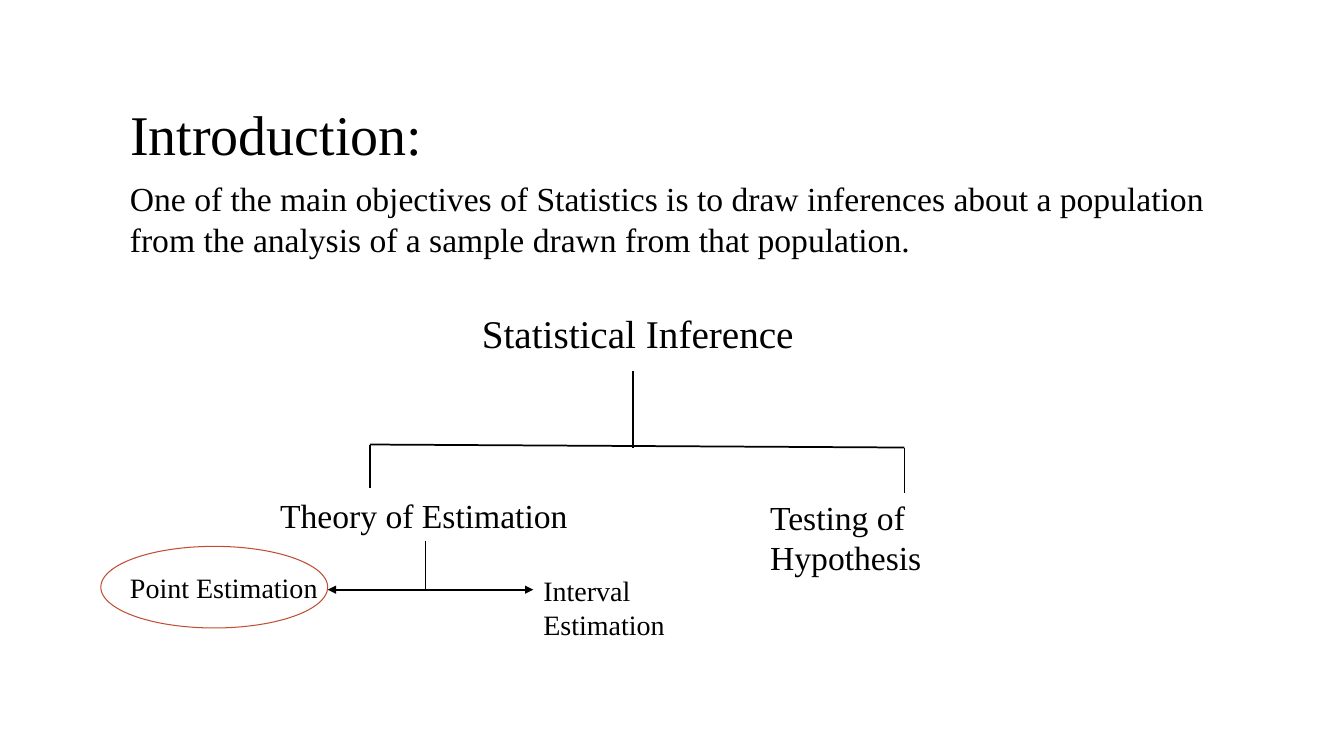
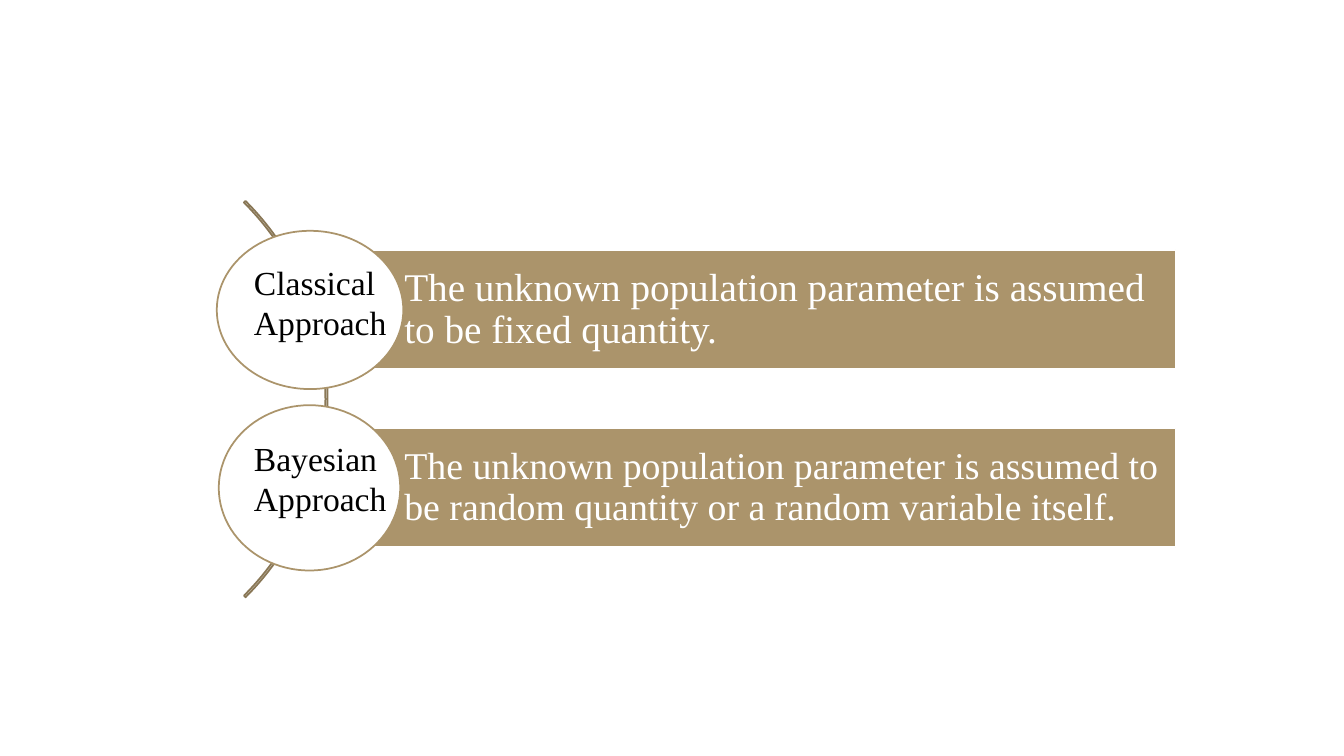
from dataclasses import dataclass

from lxml import etree
from pptx import Presentation
from pptx import util as u
from pptx.dml import color
from pptx.enum import shapes, text
from pptx.oxml import ns

SCALE = 9144
FONT = "Times New Roman"
INK = {"black": "000000", "white": "FFFFFF", "tan": "AB946B",
       "brown": "897756", "rust": "C04F32"}
KIND = shapes.MSO_SHAPE


@dataclass
class Box:
    x: int
    y: int
    w: int
    h: int

    def place(self) -> tuple[int, ...]:
        return tuple(px(n) for n in (self.x, self.y, self.w, self.h))


@dataclass
class Label:
    words: str
    size: int
    box: Box


@dataclass
class Line:
    x1: int
    y1: int
    x2: int
    y2: int
    heads: bool = False


@dataclass
class Entry:
    name: Label
    oval: Box
    bar: Label
    inset: int


INTRO = Label("Introduction:", 40, Box(119, 94, 971, 77))
LABELS = [
    Label("One of the main objectives of Statistics is to draw inferences about "
          "a population from the analysis of a sample drawn from that population.",
          24, Box(119, 172, 1137, 91)),
    Label("Statistical Inference", 28, Box(468, 302, 338, 57)),
    Label("Theory of Estimation", 24, Box(268, 486, 309, 50)),
    Label("Testing of Hypothesis", 24, Box(754, 488, 300, 50)),
    Label("Point Estimation", 20, Box(119, 561, 215, 44)),
    Label("Interval Estimation", 20, Box(529, 564, 220, 44)),
]
LINES = [
    Line(628, 368, 628, 444),
    Line(367, 441, 897, 444),
    Line(367, 484, 367, 441),
    Line(897, 489, 897, 444),
    Line(422, 537, 422, 585),
    Line(325, 585, 529, 585, heads=True),
]
ENTRIES = [
    Entry(Label("Classical Approach", 24, Box(242, 255, 155, 91)),
          Box(215, 229, 185, 157),
          Label("The unknown population parameter is assumed to be fixed quantity.",
                28, Box(307, 248, 859, 118)), 8),
    Entry(Label("Bayesian Approach", 24, Box(242, 429, 155, 91)),
          Box(217, 402, 180, 164),
          Label("The unknown population parameter is assumed to be random "
                "quantity or a random variable itself.",
                27, Box(307, 425, 859, 118)), 7),
]


def px(n: int) -> u.Emu:
    return u.Emu(n * SCALE)


def rgb(name: str) -> color.RGBColor:
    return color.RGBColor.from_string(INK[name])


def write(frame, label: Label, ink: str = "black"):
    frame.word_wrap = True
    frame.auto_size = text.MSO_AUTO_SIZE.NONE
    frame.vertical_anchor = text.MSO_ANCHOR.TOP
    para = frame.paragraphs[0]
    para.alignment = text.PP_ALIGN.LEFT
    run = para.add_run()
    run.text = label.words
    run.font.name = FONT
    run.font.size = u.Pt(label.size)
    run.font.color.rgb = rgb(ink)
    return para


def add_text(slide, label: Label) -> None:
    write(slide.shapes.add_textbox(*label.box.place()).text_frame, label)


def add_shape(slide, kind, box: Box, edge: str, width: float = 1.25,
              fill: str | None = None):
    shape = slide.shapes.add_shape(kind, *box.place())
    shape.shadow.inherit = False
    if fill:
        shape.fill.solid()
        shape.fill.fore_color.rgb = rgb(fill)
    else:
        shape.fill.background()
    shape.line.color.rgb = rgb(edge)
    shape.line.width = u.Pt(width)
    return shape


def add_line(slide, line: Line) -> None:
    ends = [px(n) for n in (line.x1, line.y1, line.x2, line.y2)]
    link = slide.shapes.add_connector(shapes.MSO_CONNECTOR.STRAIGHT, *ends)
    link.line.color.rgb = rgb("black")
    link.line.width = u.Pt(1.25)
    props = link._element.spPr
    etree.SubElement(props, ns.qn("a:effectLst"))
    if line.heads:
        for tag in ("a:headEnd", "a:tailEnd"):
            etree.SubElement(props.find(ns.qn("a:ln")), ns.qn(tag), type="triangle")


def add_entry(slide, entry: Entry) -> None:
    bar = add_shape(slide, KIND.RECTANGLE, entry.bar.box, "white", fill="tan")
    frame = bar.text_frame
    write(frame, entry.bar, "white").line_spacing = 0.9
    frame.vertical_anchor = text.MSO_ANCHOR.MIDDLE
    frame.margin_left = px(94)
    frame.margin_top = frame.margin_right = frame.margin_bottom = px(entry.inset)
    add_shape(slide, KIND.OVAL, entry.oval, "tan", fill="white")
    add_text(slide, entry.name)


def draw_tree(deck) -> None:
    slide = deck.slides.add_slide(deck.slide_layouts[5])
    title = slide.shapes.title
    title.left, title.top, title.width, title.height = INTRO.box.place()
    write(title.text_frame, INTRO)
    for label in LABELS:
        add_text(slide, label)
    for line in LINES:
        add_line(slide, line)
    add_shape(slide, KIND.OVAL, Box(100, 542, 225, 81), "rust", 0.75)


def draw_list(deck) -> None:
    slide = deck.slides.add_slide(deck.slide_layouts[6])
    arc = add_shape(slide, KIND.BLOCK_ARC, Box(-231, 118, 556, 556), "brown")
    for spot, value in enumerate((189, 27, 0.004)):
        arc.adjustments[spot] = value
    for entry in ENTRIES:
        add_entry(slide, entry)


def main() -> None:
    deck = Presentation()
    deck.slide_width, deck.slide_height = px(1333), px(750)
    draw_tree(deck)
    draw_list(deck)
    deck.save("out.pptx")


if __name__ == "__main__":
    main()
